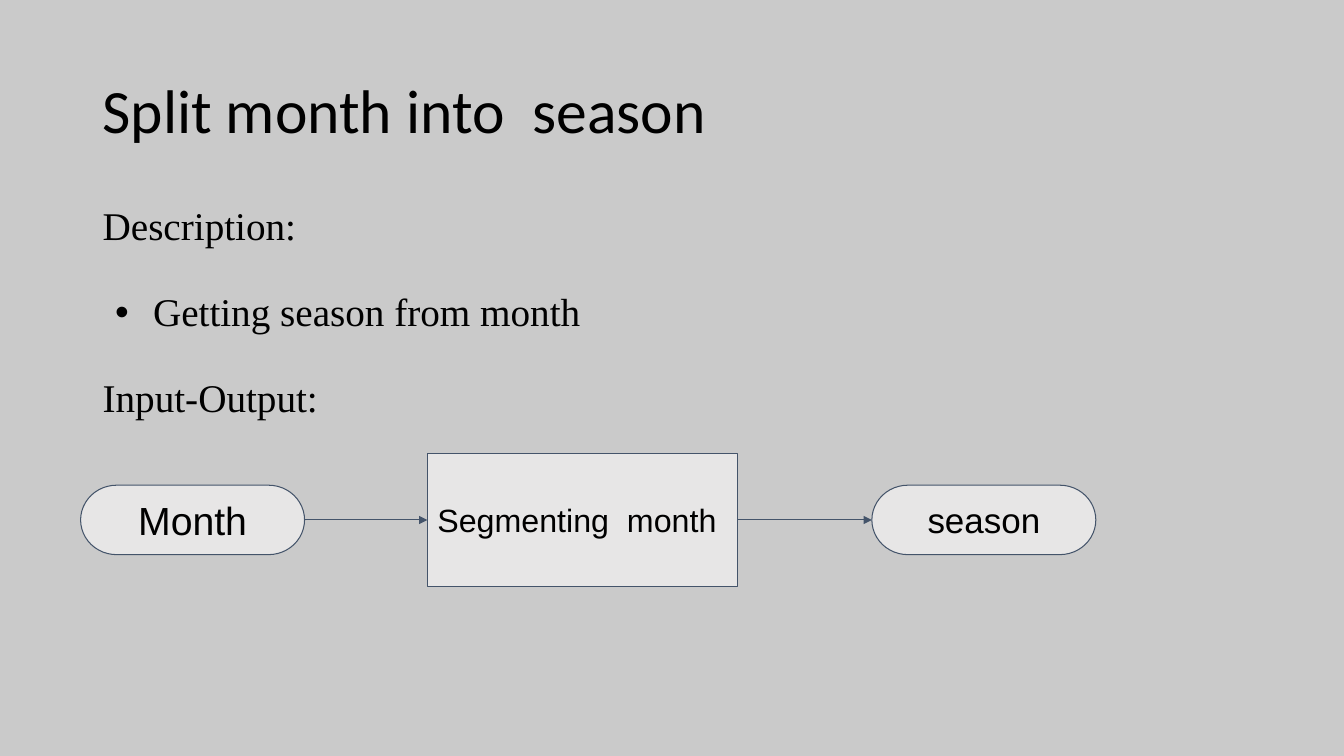
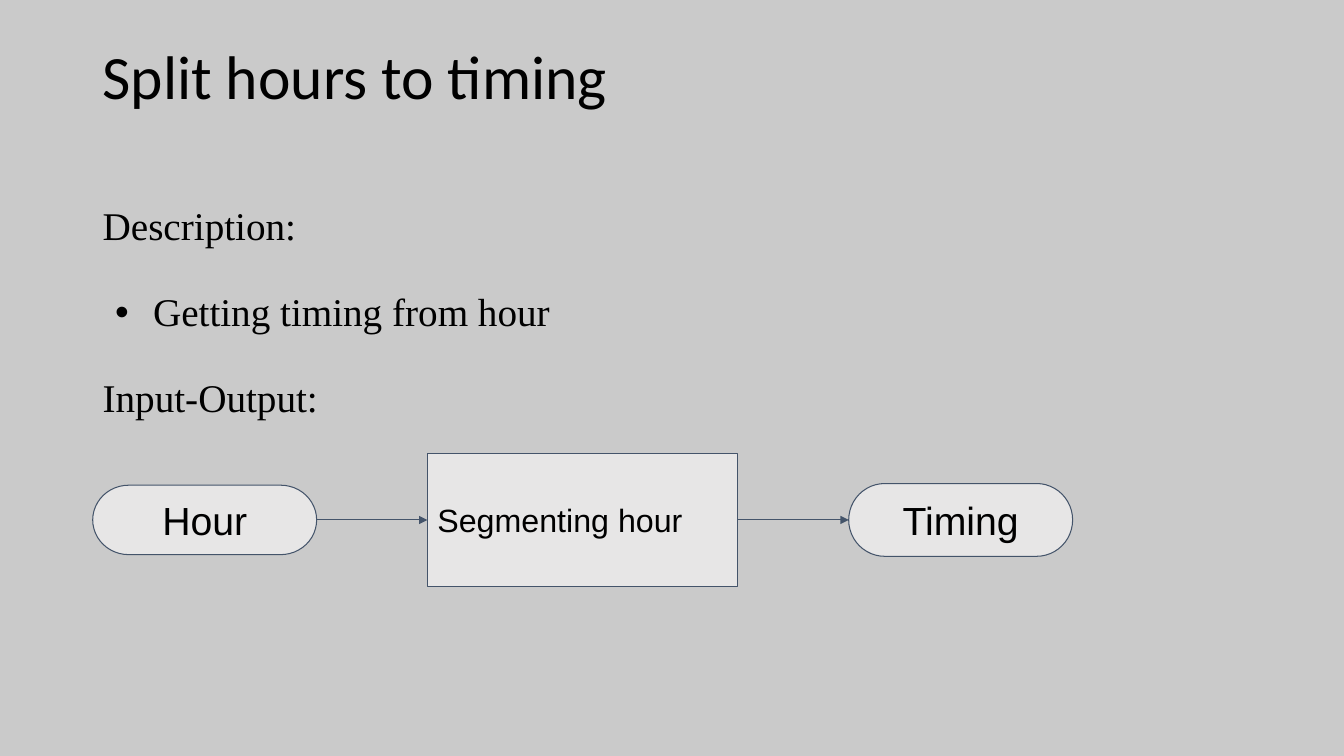
from dataclasses import dataclass

from lxml import etree
from pptx import Presentation
from pptx import util as u
from pptx.dml.color import RGBColor
from pptx.enum import shapes, text
from pptx.oxml import ns

BACKDROP, STEP_FILL, OUTLINE, INK = "CACACA", "E7E6E6", "44546A", "000000"
TITLE_FONT, BODY_FONT, STEP_FONT = "Calibri", "Times New Roman", "Arial"
LEFT_MARGIN = 66.24
FLOW_MIDDLE = 371.4
INSET = 7.2
LINE_SPACING = 0.9
BODY_GAP = 31.3


@dataclass(frozen=True)
class Step:
    label: str
    left: float
    width: float = 160
    height: float = 49.6
    size: float = 28
    outline: shapes.MSO_SHAPE = shapes.MSO_SHAPE.FLOWCHART_TERMINATOR
    align: text.PP_ALIGN = text.PP_ALIGN.CENTER


@dataclass(frozen=True)
class Feature:
    title: str
    title_top: float
    description: str
    steps: tuple[Step, ...]


def process(label: str) -> Step:
    return Step(label, 305.28, 221.76, 95, 23,
                shapes.MSO_SHAPE.RECTANGLE, text.PP_ALIGN.LEFT)


FEATURES = (
    Feature("Split month into  season", 28.8, "Getting season from month",
            (Step("Month", 57.6), process("Segmenting  month"),
             Step("season", 622.8, size=25))),
    Feature("Split hours to timing", 4.8, "Getting timing from hour",
            (Step("Hour", LEFT_MARGIN), process("Segmenting hour"),
             Step("Timing", 606.24, height=52))),
)


def color(value: str) -> RGBColor:
    return RGBColor.from_string(value)


def set_font(paragraph, face: str, size: float) -> None:
    for run in paragraph.runs:
        run.font.name = face
        run.font.size = u.Pt(size)
        run.font.color.rgb = color(INK)


def set_outline(line) -> None:
    line.color.rgb = color(OUTLINE)
    line.width = u.Pt(0.75)


def add_bullet(paragraph) -> None:
    props = paragraph._p.get_or_add_pPr()
    props.set("marL", str(u.Pt(36)))
    props.set("indent", str(-u.Pt(27)))
    tint = etree.SubElement(props, ns.qn("a:buClr"))
    etree.SubElement(tint, ns.qn("a:srgbClr"), val=INK)
    etree.SubElement(props, ns.qn("a:buFont"), typeface="Arial")
    etree.SubElement(props, ns.qn("a:buChar"), char="•")


def add_text(slide, top: float, width: float, height: float, content: str,
             face: str, size: float, anchor: text.MSO_ANCHOR):
    frame = slide.shapes.add_textbox(
        u.Pt(LEFT_MARGIN), u.Pt(top), u.Pt(width), u.Pt(height)).text_frame
    frame.word_wrap = True
    frame.vertical_anchor = anchor
    frame.text = content
    for paragraph in frame.paragraphs:
        paragraph.line_spacing = LINE_SPACING
        set_font(paragraph, face, size)
    return frame


def add_description(slide, description: str) -> None:
    content = "\n".join(("Description:", description, "Input-Output:"))
    frame = add_text(slide, 144, 460, 170, content, BODY_FONT, 28,
                     text.MSO_ANCHOR.TOP)
    for paragraph in frame.paragraphs[1:]:
        paragraph.space_before = u.Pt(BODY_GAP)
    add_bullet(frame.paragraphs[1])


def add_step(slide, step: Step):
    box = slide.shapes.add_shape(
        step.outline, u.Pt(step.left), u.Pt(FLOW_MIDDLE - step.height / 2),
        u.Pt(step.width), u.Pt(step.height))
    box.shadow.inherit = False
    box.fill.solid()
    box.fill.fore_color.rgb = color(STEP_FILL)
    set_outline(box.line)
    frame = box.text_frame
    frame.word_wrap = True
    frame.vertical_anchor = text.MSO_ANCHOR.MIDDLE
    frame.margin_left = frame.margin_right = u.Pt(INSET)
    frame.margin_top = frame.margin_bottom = u.Pt(INSET)
    frame.text = step.label
    frame.paragraphs[0].alignment = step.align
    set_font(frame.paragraphs[0], STEP_FONT, step.size)
    return box


def add_arrow(slide, source, target) -> None:
    right_side, left_side = 3, 1
    arrow = slide.shapes.add_connector(shapes.MSO_CONNECTOR.STRAIGHT, 0, 0, 0, 0)
    arrow.begin_connect(source, right_side)
    arrow.end_connect(target, left_side)
    set_outline(arrow.line)
    props = arrow.element.spPr
    etree.SubElement(props.find(ns.qn("a:ln")), ns.qn("a:tailEnd"),
                     type="triangle")
    etree.SubElement(props, ns.qn("a:effectLst"))


def add_feature(deck, feature: Feature) -> None:
    slide = deck.slides.add_slide(deck.slide_layouts[6])
    slide.background.fill.solid()
    slide.background.fill.fore_color.rgb = color(BACKDROP)
    add_text(slide, feature.title_top, 828, 104.4, feature.title,
             TITLE_FONT, 44, text.MSO_ANCHOR.MIDDLE)
    add_description(slide, feature.description)
    boxes = [add_step(slide, step) for step in feature.steps]
    for source, target in zip(boxes, boxes[1:]):
        add_arrow(slide, source, target)


def main() -> None:
    deck = Presentation()
    deck.slide_width, deck.slide_height = u.Pt(960), u.Pt(540)
    for feature in FEATURES:
        add_feature(deck, feature)
    deck.save("out.pptx")


if __name__ == "__main__":
    main()
